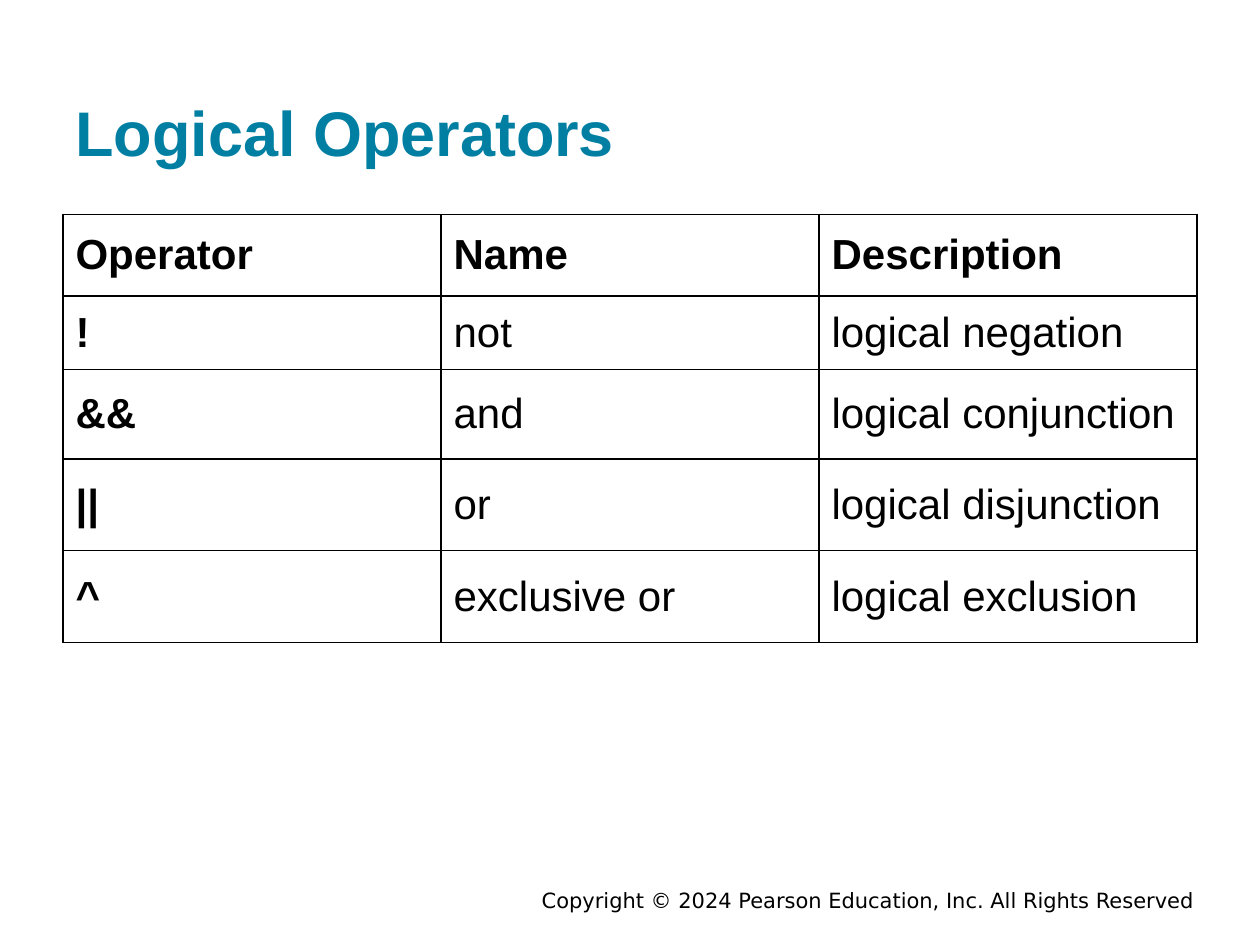
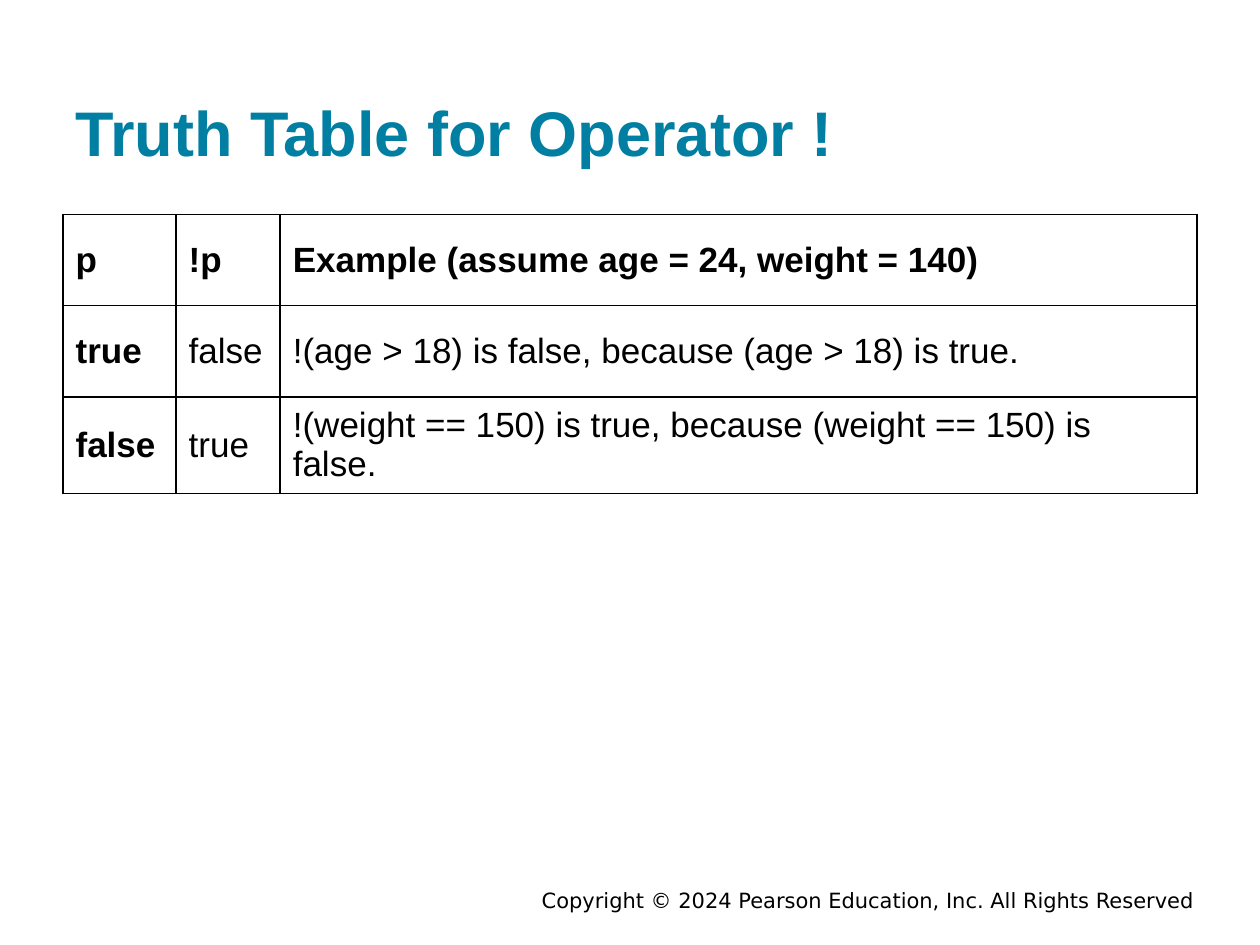
from dataclasses import dataclass

from lxml.etree import SubElement
from pptx import Presentation
from pptx.dml.color import RGBColor
from pptx.enum.text import MSO_ANCHOR as Anchor, MSO_AUTO_SIZE as AutoSize, PP_ALIGN as Align
from pptx.oxml.ns import qn
from pptx.util import Cm, Pt

TITLE_COLOR = "007FA3"
BLACK = "000000"
BODY_FONT = "Arial"
FOOTER_FONT = "DejaVu Sans"
FOOTER = "Copyright © 2024 Pearson Education, Inc. All Rights Reserved"
LEFT, WIDTH = 1.27, 22.86
TABLE_TOP = 4.32
BORDER_PT = 1


@dataclass(frozen=True)
class TableSlide:
    title: str
    font_size: int
    col_widths: list[float]
    row_heights: list[float]
    rows: list[list[str]]


SLIDES = [
    TableSlide(
        "Logical Operators", 24, [WIDTH / 3] * 3, [1.65, 1.48, 1.8, 1.85, 1.85],
        [
            ["Operator", "Name", "Description"],
            ["!", "not", "logical negation"],
            ["&&", "and", "logical conjunction"],
            ["||", "or", "logical disjunction"],
            ["^", "exclusive or", "logical exclusion"],
        ],
    ),
    TableSlide(
        "Truth Table for Operator !", 20, [2.28, 2.1, 18.48], [1.84] * 3,
        [
            ["p", "!p", "Example (assume age = 24, weight = 140)"],
            ["true", "false", "!(age > 18) is false, because (age > 18) is true."],
            ["false", "true", "!(weight == 150) is true, because (weight == 150) is false."],
        ],
    ),
]


def rgb(color: str) -> RGBColor:
    return RGBColor.from_string(color)


def write(tf, text: str, *, size: int, font: str = BODY_FONT, color: str = BLACK,
          bold: bool = False, align=Align.LEFT) -> None:
    p = tf.paragraphs[0]
    p.alignment = align
    r = p.add_run()
    r.text = text
    r.font.name = font
    r.font.size = Pt(size)
    r.font.bold = bold
    r.font.color.rgb = rgb(color)


def add_title(slide, text: str) -> None:
    sp = slide.shapes.title
    sp.left, sp.top, sp.width, sp.height = Cm(LEFT), Cm(0.61), Cm(WIDTH), Cm(3.05)
    tf = sp.text_frame
    tf.auto_size = AutoSize.NONE
    tf.word_wrap = True
    tf.vertical_anchor = Anchor.BOTTOM
    tf.margin_left = tf.margin_top = tf.margin_right = tf.margin_bottom = Cm(0.25)
    write(tf, text, size=36, color=TITLE_COLOR, bold=True)


def add_footer(slide) -> None:
    sp = slide.shapes.add_textbox(Cm(4.45), Cm(17.86), Cm(19.88), Cm(0.56))
    tf = sp.text_frame
    tf.word_wrap = True
    tf.vertical_anchor = Anchor.MIDDLE
    write(tf, FOOTER, size=12, font=FOOTER_FONT, align=Align.RIGHT)


def add_borders(cell) -> None:
    props = cell._tc.get_or_add_tcPr()
    for side in ("a:lnL", "a:lnR", "a:lnT", "a:lnB"):
        line = SubElement(props, qn(side), w=str(Pt(BORDER_PT)))
        fill = SubElement(line, qn("a:solidFill"))
        SubElement(fill, qn("a:srgbClr"), val=BLACK)


def add_table(slide, spec: TableSlide) -> None:
    frame = slide.shapes.add_table(
        len(spec.rows), len(spec.col_widths), Cm(LEFT), Cm(TABLE_TOP),
        Cm(sum(spec.col_widths)), Cm(sum(spec.row_heights)))
    table = frame.table
    table.horz_banding = False
    table.first_row = False
    for col, width in zip(table.columns, spec.col_widths):
        col.width = Cm(width)
    for row, height in zip(table.rows, spec.row_heights):
        row.height = Cm(height)
    for i, texts in enumerate(spec.rows):
        for j, text in enumerate(texts):
            cell = table.cell(i, j)
            cell.vertical_anchor = Anchor.MIDDLE
            add_borders(cell)
            cell.fill.background()
            write(cell.text_frame, text, size=spec.font_size, bold=i == 0 or j == 0)


def main() -> None:
    prs = Presentation()
    prs.slide_width, prs.slide_height = Cm(25.4), Cm(19.05)
    title_only = prs.slide_layouts[5]
    for spec in SLIDES:
        slide = prs.slides.add_slide(title_only)
        add_footer(slide)
        add_title(slide, spec.title)
        add_table(slide, spec)
    prs.save("out.pptx")


if __name__ == "__main__":
    main()
